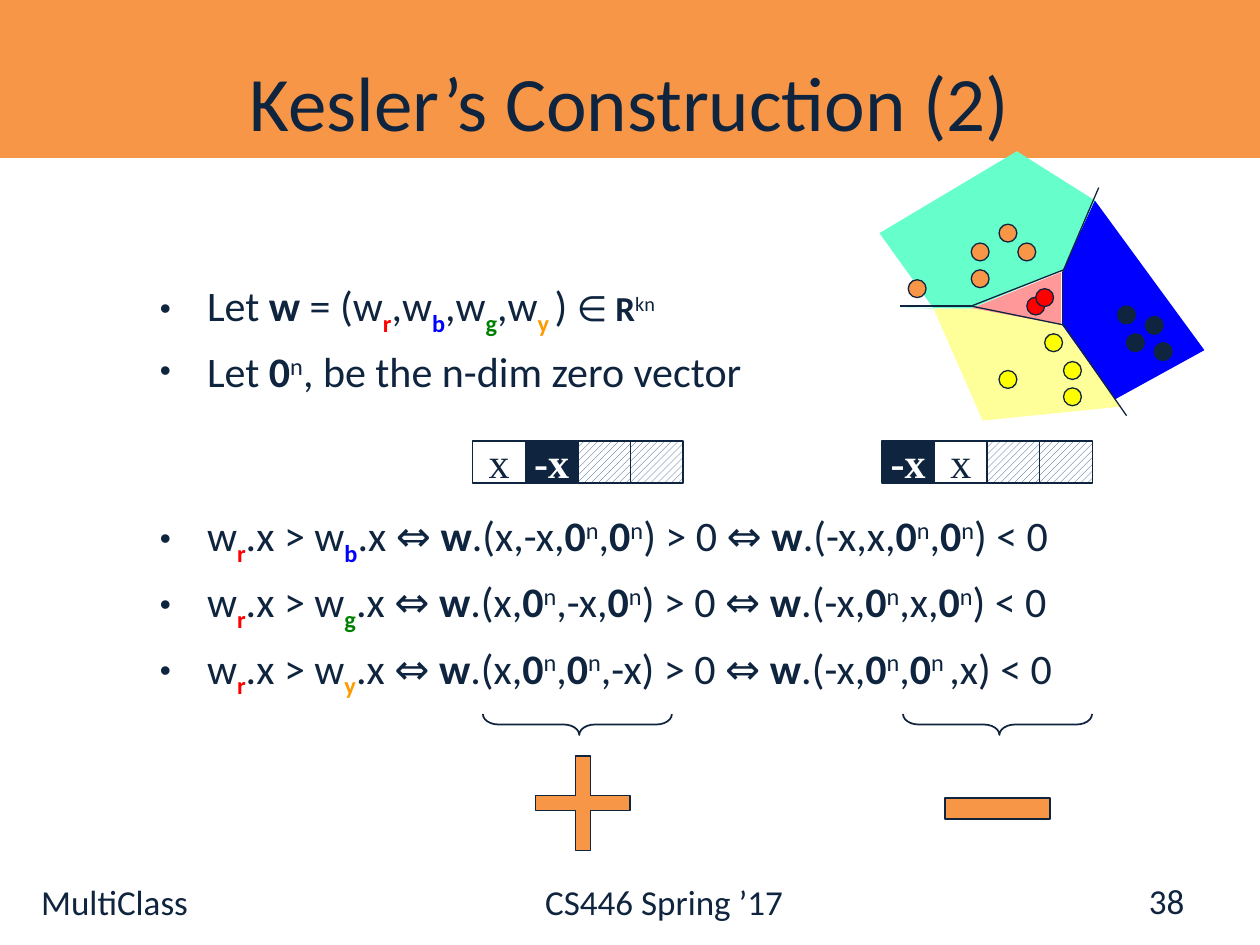
"""Build the slide on Kesler's construction for multiclass classification."""
from lxml import etree
from pptx import Presentation
from pptx.dml.color import RGBColor
from pptx.enum.dml import MSO_PATTERN
from pptx.enum.shapes import MSO_CONNECTOR, MSO_SHAPE
from pptx.enum.text import MSO_ANCHOR, MSO_AUTO_SIZE, PP_ALIGN
from pptx.oxml.ns import qn
from pptx.util import Cm, Pt

RECTANGLE, OVAL = MSO_SHAPE.RECTANGLE, MSO_SHAPE.OVAL
PLUS, BRACE = MSO_SHAPE.CROSS, MSO_SHAPE.LEFT_BRACE
STRAIGHT = MSO_CONNECTOR.STRAIGHT
HATCH = MSO_PATTERN.WIDE_UPWARD_DIAGONAL
CENTER, RIGHT = PP_ALIGN.CENTER, PP_ALIGN.RIGHT
MIDDLE = MSO_ANCHOR.MIDDLE
NO_AUTOFIT = MSO_AUTO_SIZE.NONE
INK, ORANGE, WHITE = "0F243E", "F79646", "FFFFFF"
SUBSCRIPT_COLOURS = {"r": "FF0000", "b": "0000FF", "g": "008000", "y": "FF9900"}


def colour(value):
    return RGBColor.from_string(value)


def add_figure(kind, left, top, width, height, fill=None, line=INK, weight=0.75):
    shape = slide.shapes.add_shape(kind, Cm(left), Cm(top), Cm(width), Cm(height))
    shape.shadow.inherit = False
    if fill:
        shape.fill.solid()
        shape.fill.fore_color.rgb = colour(fill)
    else:
        shape.fill.background()
    shape.line.color.rgb = colour(line)
    shape.line.width = Pt(weight)
    return shape


presentation = Presentation()
presentation.slide_width, presentation.slide_height = Cm(25.4), Cm(19.05)
slide = presentation.slides.add_slide(presentation.slide_layouts[1])
title, body = slide.placeholders

band = add_figure(RECTANGLE, 0, 0, 25.4, 3.18, ORANGE, ORANGE)
slide.shapes._spTree.insert(2, band._element)

title.left, title.top, title.width, title.height = Cm(1.27), Cm(0.43), Cm(22.86), Cm(3.18)
title.text_frame.text = "Kesler’s Construction (2)"
title.text_frame.vertical_anchor = MIDDLE
title.text_frame.paragraphs[0].alignment = CENTER

footer = slide.shapes.add_textbox(Cm(0.58), Cm(17.63), Cm(24.38), Cm(1.42))
footer.text_frame.text = "MultiClass\tCS446 Spring ’17"
properties = footer.text_frame.paragraphs[0]._p.get_or_add_pPr()
tabs = etree.SubElement(properties, qn("a:tabLst"))
etree.SubElement(tabs, qn("a:tab"), pos=str(Cm(10.16)), algn="l")

number = slide.shapes.add_textbox(Cm(18.21), Cm(17.65), Cm(5.92), Cm(1.02))
number.text_frame.text = "38"
number.text_frame.vertical_anchor = MIDDLE
number.text_frame.paragraphs[0].alignment = RIGHT

for shape, size in ((title, 44), (footer, 20), (number, 20)):
    shape.text_frame.word_wrap = True
    shape.text_frame.auto_size = NO_AUTOFIT
    for run in shape.text_frame.paragraphs[0].runs:
        run.font.name, run.font.size = "Calibri", Pt(size)
        run.font.color.rgb = colour(INK)

# Pieces are parted by "|": "*" is bold, "^" superscript, "_" a coloured subscript, "~" small.
lines = [
    ("Let |*w |= (w|_r|,w|_b|,w|_g|,w|_y |) |~∈ |~*R|~^kn", 0),
    ("Let |*0|^n|, be the n-dim zero vector", 5),
    ("w|_r|.x > w|_b|.x ⇔ |*w|.(x,-x,|*0|^n|,|*0|^n|) > 0 ⇔ |*w|.(-x,x,|*0|^n|,|*0|^n|) < 0", 65),
    ("w|_r|.x > w|_g|.x ⇔ |*w|.(x,|*0|^n|,-x,|*0|^n|) > 0 ⇔ |*w|.(-x,|*0|^n|,x,|*0|^n|) < 0", 5),
    ("w|_r|.x > w|_y|.x ⇔ |*w|.(x,|*0|^n|,|*0|^n|,-x) > 0 ⇔ |*w|.(-x,|*0|^n|,|*0|^n |,x) < 0", 5),
]
body.left, body.top, body.width, body.height = Cm(2.97), Cm(5.51), Cm(22.43), Cm(11.43)
body.text_frame.auto_size = NO_AUTOFIT
for index, (line, space) in enumerate(lines):
    paragraph = body.text_frame.add_paragraph() if index else body.text_frame.paragraphs[0]
    properties = paragraph._p.get_or_add_pPr()
    properties.set("marL", str(Cm(0.95)))
    properties.set("indent", str(-Cm(0.95)))
    etree.SubElement(properties, qn("a:buSzPct"), val="75000")
    etree.SubElement(properties, qn("a:buFont"), typeface="Arial")
    etree.SubElement(properties, qn("a:buChar"), char="•")
    paragraph.space_before = Pt(space)
    for piece in line.split("|"):
        size = 20 if piece[0] == "~" else 24
        piece = piece.lstrip("~")
        mark = piece[0]
        run = paragraph.add_run()
        run.text = piece[1:] if mark in "*^_" else piece
        run.font.name, run.font.size = "Calibri", Pt(size)
        run.font.bold = mark in "*_"
        run.font.color.rgb = colour(SUBSCRIPT_COLOURS[piece[1]] if mark == "_" else INK)
        if mark in "^_":
            run.font._element.set("baseline", "30000" if mark == "^" else "-25000")

for left, labels in ((9.53, ("x", "-x", "", "")), (17.78, ("-x", "x", "", ""))):
    for column, label in enumerate(labels):
        negative = label == "-x"
        cell = add_figure(RECTANGLE, left + column * 1.06, 8.89, 1.06, 0.85, INK if negative else WHITE)
        if not label:
            cell.fill.patterned()
            cell.fill.pattern = HATCH
            cell.fill.fore_color.rgb = colour("1F497D")
            cell.fill.back_color.rgb = colour(WHITE)
            continue
        cell.text_frame.text = label
        cell.text_frame.word_wrap = False
        cell.text_frame.vertical_anchor = MIDDLE
        paragraph = cell.text_frame.paragraphs[0]
        paragraph.alignment = CENTER
        font = paragraph.runs[0].font
        font.name, font.size, font.bold = "Times New Roman", Pt(24), negative
        font.color.rgb = colour(WHITE if negative else INK)

plus = add_figure(PLUS, 10.8, 15.24, 1.9, 1.9, ORANGE)
plus.adjustments[0] = 0.42
minus = add_figure(RECTANGLE, 19.05, 16.09, 2.12, 0.42, ORANGE)
for left in (11.43, 19.9):
    brace = add_figure(BRACE, left, 12.7, 0.42, 3.81, weight=1)
    brace.adjustments[0], brace.adjustments[1] = 0.75, 0.51
    brace.rotation = 270

regions = {
    "FF9999": [(19.58, 6.22), (21.39, 5.49), (21.39, 6.55)],
    "FFFF99": [(18.82, 6.22), (19.63, 6.22), (21.41, 6.55), (22.58, 8.2), (19.81, 8.48)],
    "0000FF": [(22.07, 4.04), (21.41, 5.49), (21.41, 6.55), (22.48, 8.05), (24.28, 7.06)],
    "66FFCC": [(18.11, 6.2), (19.56, 6.22), (21.41, 5.46), (22.07, 4.04), (20.5, 3.05),
               (17.73, 4.7), (18.82, 6.22)],
}
for fill, corners in regions.items():
    points = [(Cm(x), Cm(y)) for x, y in corners]
    builder = slide.shapes.build_freeform(*points[0])
    builder.add_line_segments(points[1:], close=True)
    region = builder.convert_to_shape()
    region.shadow.inherit = False
    region.fill.solid()
    region.fill.fore_color.rgb = colour(fill)
    region.line.fill.background()

upper, west, lower = (21.44, 5.44), (19.58, 6.17), (21.44, 6.55)
boundaries = [
    (upper, west), (west, lower), (lower, upper),
    (lower, (22.71, 8.38)), (upper, (22.15, 3.78)), (west, (18.14, 6.17)),
]
for start, end in boundaries:
    boundary = slide.shapes.add_connector(STRAIGHT, *map(Cm, start + end))
    boundary.line.color.rgb = colour(INK)
    boundary.line.width = Pt(0.75)
    etree.SubElement(boundary._element.spPr, qn("a:effectLst"))

examples = {
    ORANGE: [(19.58, 4.9), (20.14, 4.52), (20.52, 4.9), (19.58, 5.44), (18.31, 5.64)],
    "FFFF00": [(20.14, 7.47), (21.06, 6.73), (21.44, 7.29), (21.44, 7.82)],
    "FF0000": [(20.7, 5.99), (20.88, 5.82)],
    INK: [(22.71, 6.73), (23.09, 6.38), (23.27, 6.91), (22.53, 6.17)],
}
for fill, corners in examples.items():
    for left, top in corners:
        add_figure(OVAL, left, top, 0.36, 0.36, fill)

presentation.save("out.pptx")
